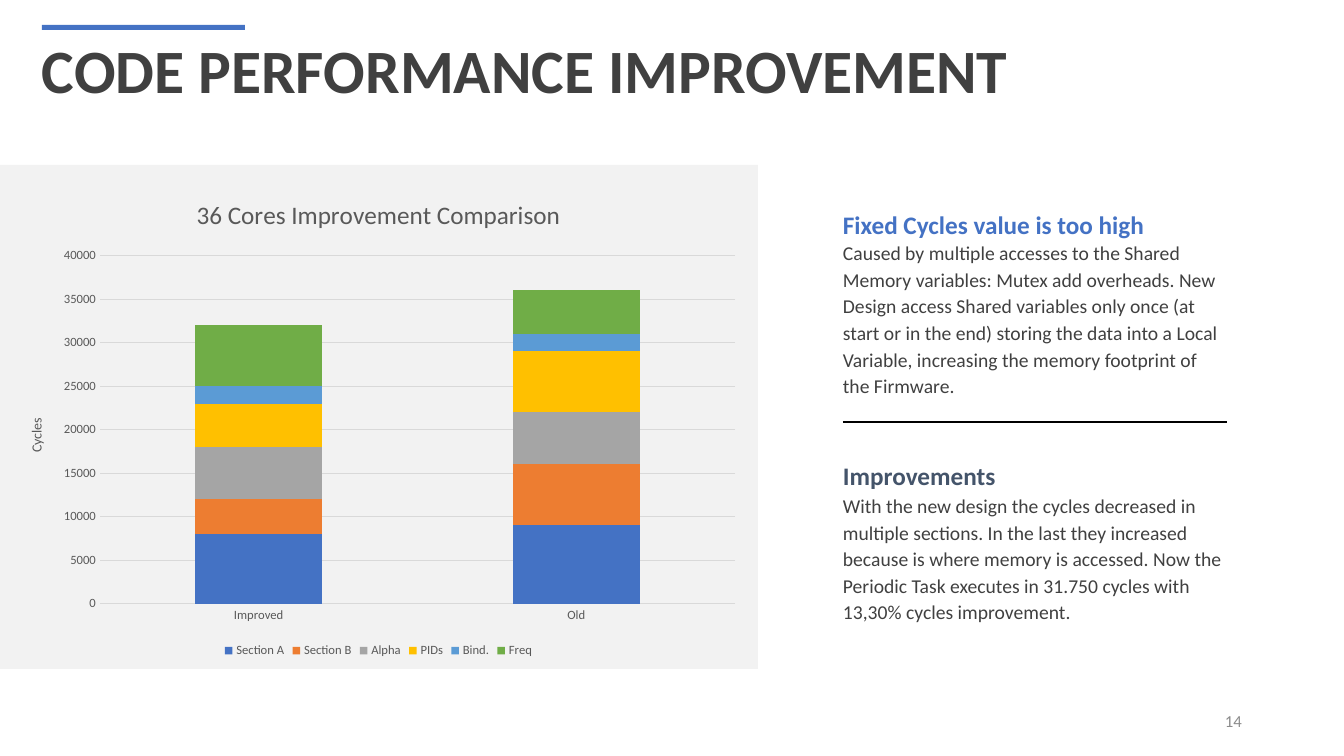
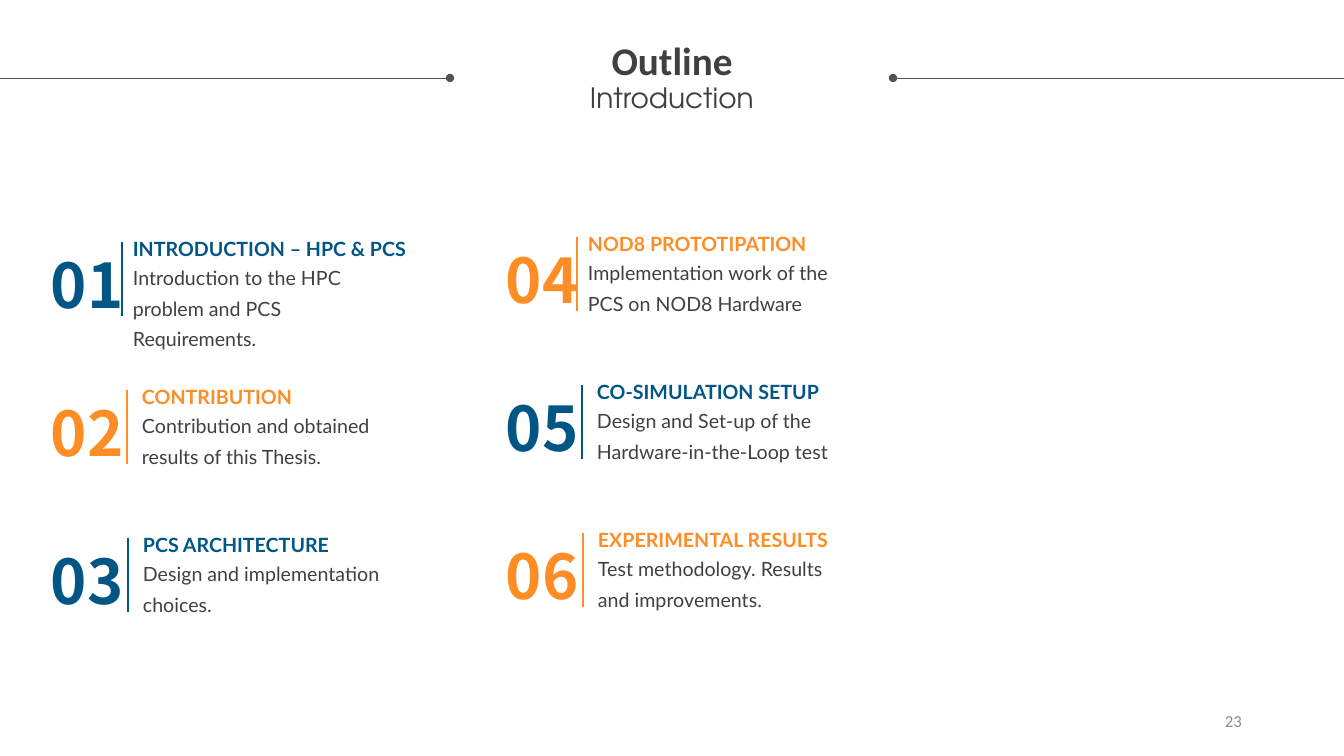
from dataclasses import dataclass
from typing import Optional

from lxml.etree import SubElement
from pptx import Presentation
from pptx.chart.data import CategoryChartData
from pptx.dml.color import RGBColor
from pptx.enum.chart import XL_CHART_TYPE, XL_LEGEND_POSITION, XL_TICK_MARK
from pptx.enum.shapes import MSO_CONNECTOR, MSO_SHAPE
from pptx.enum.text import MSO_ANCHOR, MSO_AUTO_SIZE, PP_ALIGN
from pptx.oxml.ns import qn
from pptx.util import Emu, Pt

PAGE_WIDTH, PAGE_HEIGHT = 1344, 756
EMU_PER_PX = 914400 / 100.8

BLACK = RGBColor(0x00, 0x00, 0x00)
DARK = RGBColor(0x40, 0x40, 0x40)
RULE_GREY = RGBColor(0x52, 0x52, 0x52)
CHART_GREY = RGBColor(0x59, 0x59, 0x59)
NUMBER_GREY = RGBColor(0x8C, 0x8C, 0x8C)
GRID_GREY = RGBColor(0xD9, 0xD9, 0xD9)
PANEL_GREY = RGBColor(0xF2, 0xF2, 0xF2)
ACCENT_BLUE = RGBColor(0x44, 0x72, 0xC4)
SLATE = RGBColor(0x44, 0x54, 0x6A)
OUTLINE_BLUE = RGBColor(0x01, 0x56, 0x85)
OUTLINE_ORANGE = RGBColor(0xFE, 0x8D, 0x26)


@dataclass(frozen=True)
class TextStyle:
    size: int
    colour: RGBColor
    font: str = "Calibri"
    bold: bool = False


@dataclass(frozen=True)
class Section:
    heading: str
    colour: RGBColor
    heading_top: int
    body: str
    body_top: int


@dataclass(frozen=True)
class Series:
    name: str
    values: tuple[int, int]
    colour: RGBColor


@dataclass(frozen=True)
class OutlineItem:
    heading: str
    body: str


@dataclass(frozen=True)
class OutlineColumn:
    left: int
    top: int
    width: int


@dataclass(frozen=True)
class RowIndent:
    rule: int
    text: int


MAIN_TITLE = TextStyle(44, DARK, bold=True)
OUTLINE_TITLE = TextStyle(28, DARK, bold=True)
OUTLINE_SUBTITLE = TextStyle(20, DARK, "TeX Gyre Adventor")
SECTION_BODY = TextStyle(14, DARK)
OUTLINE_BODY = TextStyle(14, DARK, "Lato")
PAGE_NUMBER = TextStyle(12, NUMBER_GREY)
CHART_TITLE = TextStyle(18, CHART_GREY)
AXIS_TITLE = TextStyle(10, CHART_GREY)
AXIS_LABEL = TextStyle(9, CHART_GREY)

SECTIONS = (
    Section(
        "Fixed Cycles value is too high", ACCENT_BLUE, 213,
        "Caused by multiple accesses to the Shared Memory variables: Mutex add overheads. "
        "New Design access Shared variables only once (at start or in the end) storing the "
        "data into a Local Variable, increasing the memory footprint of the Firmware.", 238,
    ),
    Section(
        "Improvements", SLATE, 464,
        "With the new design the cycles decreased in multiple sections. In the last they "
        "increased because is where memory is accessed. Now the Periodic Task executes in "
        "31.750 cycles with 13,30% cycles improvement.", 491,
    ),
)
CATEGORIES = ("Improved", "Old")
SERIES = (
    Series("Section A", (8000, 9000), ACCENT_BLUE),
    Series("Section B", (4000, 7000), RGBColor(0xED, 0x7D, 0x31)),
    Series("Alpha", (6000, 6000), RGBColor(0xA5, 0xA5, 0xA5)),
    Series("PIDs", (5000, 7000), RGBColor(0xFF, 0xC0, 0x00)),
    Series("Bind.", (2000, 2000), RGBColor(0x5B, 0x9B, 0xD5)),
    Series("Freq", (7000, 5000), RGBColor(0x70, 0xAD, 0x47)),
)
OUTLINE_ITEMS = (
    OutlineItem("INTRODUCTION – HPC & PCS", "Introduction to the HPC problem and PCS Requirements."),
    OutlineItem("CONTRIBUTION", "Contribution and obtained results of this Thesis."),
    OutlineItem("PCS ARCHITECTURE", "Design and implementation choices."),
    OutlineItem("NOD8 PROTOTIPATION", "Implementation work of the PCS on NOD8 Hardware"),
    OutlineItem("CO-SIMULATION SETUP", "Design and Set-up of the Hardware-in-the-Loop test"),
    OutlineItem("EXPERIMENTAL RESULTS", "Test methodology. Results and improvements."),
)
OUTLINE_COLUMNS = (OutlineColumn(41, 237, 367), OutlineColumn(496, 232, 354))
ROW_INDENTS = (RowIndent(81, 92), RowIndent(86, 101), RowIndent(87, 102))
ROW_STEP = 148


def px(length: int) -> Emu:
    return Emu(round(length * EMU_PER_PX))


def style_font(font, style: TextStyle) -> None:
    font.name = style.font
    font.size = Pt(style.size)
    font.bold = style.bold
    font.color.rgb = style.colour


def add_span(para, text: str, style: TextStyle) -> None:
    span = para.add_run()
    span.text = text
    style_font(span.font, style)


def set_frame(frame, inset_x: int = 0, inset_y: int = 0, anchor=MSO_ANCHOR.TOP) -> None:
    frame.word_wrap = True
    frame.auto_size = MSO_AUTO_SIZE.NONE
    frame.vertical_anchor = anchor
    frame.margin_left = frame.margin_right = px(inset_x)
    frame.margin_top = frame.margin_bottom = px(inset_y)


def add_text(shapes, left: int, top: int, width: int, height: int, text: str, style: TextStyle,
             spacing=None, inset_x: int = 0, inset_y: int = 0,
             anchor=MSO_ANCHOR.TOP, align=PP_ALIGN.LEFT) -> None:
    box = shapes.add_textbox(px(left), px(top), px(width), px(height))
    set_frame(box.text_frame, inset_x, inset_y, anchor)
    para = box.text_frame.paragraphs[0]
    para.alignment = align
    para.line_spacing = spacing
    add_span(para, text, style)


def add_rule(shapes, start: tuple[int, int], end: tuple[int, int], colour: RGBColor,
             weight: float, oval_end: Optional[str] = None) -> None:
    rule = shapes.add_connector(MSO_CONNECTOR.STRAIGHT, *map(px, start + end))
    rule.line.color.rgb = colour
    rule.line.width = Pt(weight)
    properties = rule.element.spPr
    if oval_end:
        SubElement(properties.find(qn("a:ln")), qn(oval_end), type="oval")
    SubElement(properties, qn("a:effectLst"))


def add_panel(page, left: int, top: int, width: int, height: int, colour: RGBColor) -> None:
    panel = page.shapes.add_shape(MSO_SHAPE.RECTANGLE, px(left), px(top), px(width), px(height))
    panel.shadow.inherit = False
    panel.fill.solid()
    panel.fill.fore_color.rgb = colour
    panel.line.fill.background()


def add_page(deck, number: int):
    page = deck.slides.add_slide(deck.slide_layouts.get_by_name("Title Only"))
    add_text(page.shapes, 950, 701, 302, 40, str(number), PAGE_NUMBER,
             inset_x=10, inset_y=5, anchor=MSO_ANCHOR.MIDDLE, align=PP_ALIGN.RIGHT)
    return page


def place_title(page, left: int, top: int, width: int, height: int, align, spacing: float):
    title = page.shapes.title
    title.left, title.top, title.width, title.height = map(px, (left, top, width, height))
    set_frame(title.text_frame)
    para = title.text_frame.paragraphs[0]
    para.alignment = align
    para.line_spacing = spacing
    return para


def add_cycles_chart(page) -> None:
    data = CategoryChartData()
    data.categories = CATEGORIES
    for series in SERIES:
        data.add_series(series.name, series.values)
    chart = page.shapes.add_chart(XL_CHART_TYPE.COLUMN_STACKED, px(7), px(178), px(743), px(484), data).chart
    style_font(chart.font, TextStyle(10, BLACK))
    chart.has_title = True
    add_span(chart.chart_title.text_frame.paragraphs[0], "36 Cores Improvement Comparison", CHART_TITLE)
    chart.chart_title.include_in_layout = False

    plot = chart.plots[0]
    plot.vary_by_categories = False
    plot.gap_width = 150
    plot.overlap = 100
    for series, drawn in zip(SERIES, plot.series):
        drawn.format.fill.solid()
        drawn.format.fill.fore_color.rgb = series.colour

    for axis in (chart.category_axis, chart.value_axis):
        axis.major_tick_mark = axis.minor_tick_mark = XL_TICK_MARK.NONE
        style_font(axis.tick_labels.font, AXIS_LABEL)
    values = chart.value_axis
    values.minimum_scale, values.maximum_scale, values.major_unit = 0, 40000, 5000
    values.has_title = True
    add_span(values.axis_title.text_frame.paragraphs[0], "Cycles", AXIS_TITLE)
    values.format.line.fill.background()
    for line in (chart.category_axis.format.line, values.major_gridlines.format.line):
        line.color.rgb = GRID_GREY
        line.width = Pt(0.75)

    chart.has_legend = True
    chart.legend.position = XL_LEGEND_POSITION.BOTTOM
    chart.legend.include_in_layout = False
    style_font(chart.legend.font, AXIS_LABEL)


def build_performance(deck) -> None:
    page = add_page(deck, 14)
    add_span(place_title(page, 42, 32, 1260, 75, PP_ALIGN.LEFT, 1.0), "CODE PERFORMANCE IMPROVEMENT", MAIN_TITLE)
    add_panel(page, 0, 165, 758, 504, PANEL_GREY)
    add_panel(page, 42, 25, 203, 5, ACCENT_BLUE)
    add_cycles_chart(page)
    left, width = 843, 384
    for section in SECTIONS:
        heading = TextStyle(18, section.colour, bold=True)
        add_text(page.shapes, left, section.heading_top, width, 27, section.heading, heading, Pt(19))
        add_text(page.shapes, left, section.body_top, width, 159, section.body, SECTION_BODY, Pt(19))
    add_rule(page.shapes, (left, 422), (left + width, 422), BLACK, 1)


def add_outline_item(page, index: int, item: OutlineItem) -> None:
    column_index, row = divmod(index, len(ROW_INDENTS))
    column, indent = OUTLINE_COLUMNS[column_index], ROW_INDENTS[row]
    colour = OUTLINE_ORANGE if index % 2 else OUTLINE_BLUE
    top = column.top + row * ROW_STEP
    text_left, text_width = column.left + indent.text, column.width - indent.text
    rule_left = column.left + indent.rule
    shapes = page.shapes.add_group_shape().shapes
    add_text(shapes, text_left, top + 17, text_width, 69, item.body, OUTLINE_BODY, 1.3, inset_y=5)
    add_text(shapes, text_left, top, text_width, 24, item.heading, TextStyle(14, colour, "Lato", True))
    add_text(shapes, column.left, top + 5, 112, 85, f"{index + 1:02}",
             TextStyle(44, colour, "Noto Sans CJK SC", True), inset_x=10, inset_y=5)
    add_rule(shapes, (rule_left, top + 5), (rule_left, top + 79), colour, 1.5)


def build_outline(deck) -> None:
    page = add_page(deck, 23)
    para = place_title(page, 25, 42, 1294, 74, PP_ALIGN.CENTER, 0.9)
    add_span(para, "Outline", OUTLINE_TITLE)
    para.add_line_break()
    add_span(para, "Introduction", OUTLINE_SUBTITLE)
    add_rule(page.shapes, (0, 78), (450, 78), RULE_GREY, 0.5, "a:tailEnd")
    add_rule(page.shapes, (893, 78), (PAGE_WIDTH, 78), RULE_GREY, 0.5, "a:headEnd")
    for index, item in enumerate(OUTLINE_ITEMS):
        add_outline_item(page, index, item)


def main() -> None:
    deck = Presentation()
    deck.slide_width, deck.slide_height = px(PAGE_WIDTH), px(PAGE_HEIGHT)
    build_performance(deck)
    build_outline(deck)
    deck.save("out.pptx")


if __name__ == "__main__":
    main()
